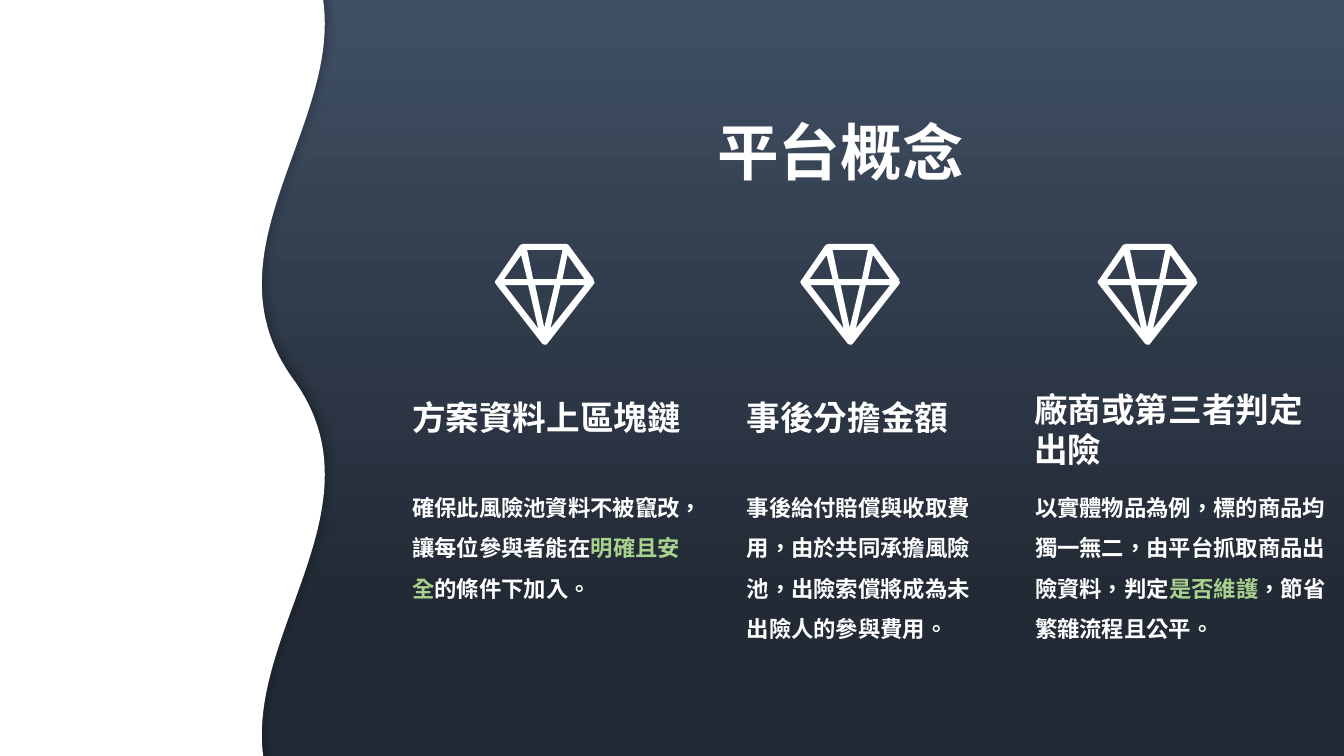
from lxml.etree import SubElement
from pptx import Presentation
from pptx.dml.color import RGBColor
from pptx.enum.shapes import MSO_SHAPE
from pptx.enum.text import MSO_AUTO_SIZE, PP_ALIGN
from pptx.oxml.ns import qn
from pptx.util import Pt

COLORS = {
    "white": "FFFFFF",
    "green": "A9D18E",
    "gradient_top": "404F64",
    "gradient_bottom": "222A35",
    "shadow": "000000",
}
FONT = "Noto Sans CJK SC"

# Diamond icon: outline first, then the facets cut out of it
DIAMOND_UNIT = Pt(0.72)
DIAMOND_TOP = 174.24
DIAMOND_CONTOURS = [
    [(98, 37), (98, 35), (73, 1), (71, 0), (28, 0), (25, 1), (1, 36), (0, 37),
     (0, 38), (1, 40), (47, 99), (49, 100), (51, 100), (52, 99), (98, 40), (99, 38)],
    [(67, 6), (61, 35), (38, 35), (32, 6)],
    [(26, 11), (32, 35), (9, 35)],
    [(10, 41), (33, 41), (43, 84)],
    [(49, 83), (40, 41), (59, 41)],
    [(55, 84), (65, 41), (89, 41)],
    [(67, 35), (72, 11), (89, 35)],
]

# Boxes are left, top, width, height
COLUMNS = [
    {
        "diamond_left": 353.5,
        "heading": "方案資料上區塊鏈",
        "heading_box": (287.28, 280.08, 211.7, 36),
        "body": [("確保此風險池資料不被竄改，讓每位參與者能在", "white"),
                 ("明確且安全", "green"), ("的條件下加入。", "white")],
        "body_box": (287.28, 339.84, 211.7, 90.7),
    },
    {
        "diamond_left": 571.7,
        "heading": "事後分擔金額",
        "heading_box": (526.32, 280.08, 161.3, 36),
        "body": [("事後給付賠償與收取費用，由於共同承擔風險池，"
                  "出險索償將成為未出險人的參與費用。", "white")],
        "body_box": (526.32, 339.84, 175, 120.2),
    },
    {
        "diamond_left": 784.1,
        "heading": "廠商或第三者判定出險",
        "heading_box": (731.52, 274.32, 229, 65.5),
        "body": [("以實體物品為例，標的商品均獨一無二，由平台抓取商品出險資料，判定", "white"),
                 ("是否維護", "green"), ("，節省繁雜流程且公平。", "white")],
        "body_box": (732.24, 339.84, 227.5, 120.2),
    },
]


def rgb(name):
    return RGBColor.from_string(COLORS[name])


def add_text(slide, box, pieces, size, line_spacing=1.0, alignment=PP_ALIGN.LEFT):
    """Add a one-paragraph text box from (text, color name) pieces."""
    text_frame = slide.shapes.add_textbox(*map(Pt, box)).text_frame
    text_frame.word_wrap = True
    text_frame.auto_size = MSO_AUTO_SIZE.SHAPE_TO_FIT_TEXT
    paragraph = text_frame.paragraphs[0]
    paragraph.alignment = alignment
    paragraph.line_spacing = line_spacing
    for text, color in pieces:
        run = paragraph.add_run()
        run.text = text
        run.font.size = Pt(size)
        run.font.bold = True
        run.font.name = FONT
        run.font.color.rgb = rgb(color)
        properties = run._r.get_or_add_rPr()
        properties.set("lang", "zh-TW")
        SubElement(properties, qn("a:ea"), typeface=FONT)


presentation = Presentation()
presentation.slide_width = Pt(960)
presentation.slide_height = Pt(540)
slide = presentation.slides.add_slide(presentation.slide_layouts[6])

# Gradient backdrop
backdrop = slide.shapes.add_shape(MSO_SHAPE.RECTANGLE, 0, 0, Pt(960), Pt(540))
backdrop.shadow.inherit = False
backdrop.line.fill.background()
backdrop.fill.gradient()
backdrop.fill.gradient_angle = 270
gradient = [(0, "gradient_top"), (0.79, "gradient_bottom")]
for stop, (position, color) in zip(backdrop.fill.gradient_stops, gradient):
    stop.position = position
    stop.color.rgb = rgb(color)

# White wave on the left
wave = slide.shapes.add_shape(
    MSO_SHAPE.DOUBLE_WAVE, Pt(-254.9), Pt(105.1), Pt(646.6), Pt(329))
wave.rotation = 270
wave.adjustments[0] = 0.071
wave.adjustments[1] = -0.002
wave.fill.solid()
wave.fill.fore_color.rgb = rgb("white")
wave.line.fill.background()
wave.shadow.inherit = False
effects = wave._element.spPr.find(qn("a:effectLst"))
shadow = SubElement(effects, qn("a:outerShdw"), blurRad=str(Pt(10)),
                    dist=str(Pt(3)), dir="16200000", rotWithShape="0")
shadow_color = SubElement(shadow, qn("a:srgbClr"), val=COLORS["shadow"])
SubElement(shadow_color, qn("a:alpha"), val="38000")

for column in COLUMNS:
    builder = slide.shapes.build_freeform(*DIAMOND_CONTOURS[0][0], scale=DIAMOND_UNIT)
    for contour in DIAMOND_CONTOURS:
        if contour is not DIAMOND_CONTOURS[0]:
            builder.move_to(*contour[0])
        builder.add_line_segments(contour[1:], close=True)
    diamond = builder.convert_to_shape(Pt(column["diamond_left"]), Pt(DIAMOND_TOP))
    diamond.shadow.inherit = False
    diamond.fill.solid()
    diamond.fill.fore_color.rgb = rgb("white")
    diamond.line.fill.background()

    add_text(slide, column["body_box"], column["body"], 16, line_spacing=1.5)
    add_text(slide, column["heading_box"], [(column["heading"], "white")], 24)

add_text(slide, (322.6, 51.1, 555.8, 77.8), [("平台概念", "white")], 44,
         line_spacing=1.5, alignment=PP_ALIGN.CENTER)

presentation.save("out.pptx")
